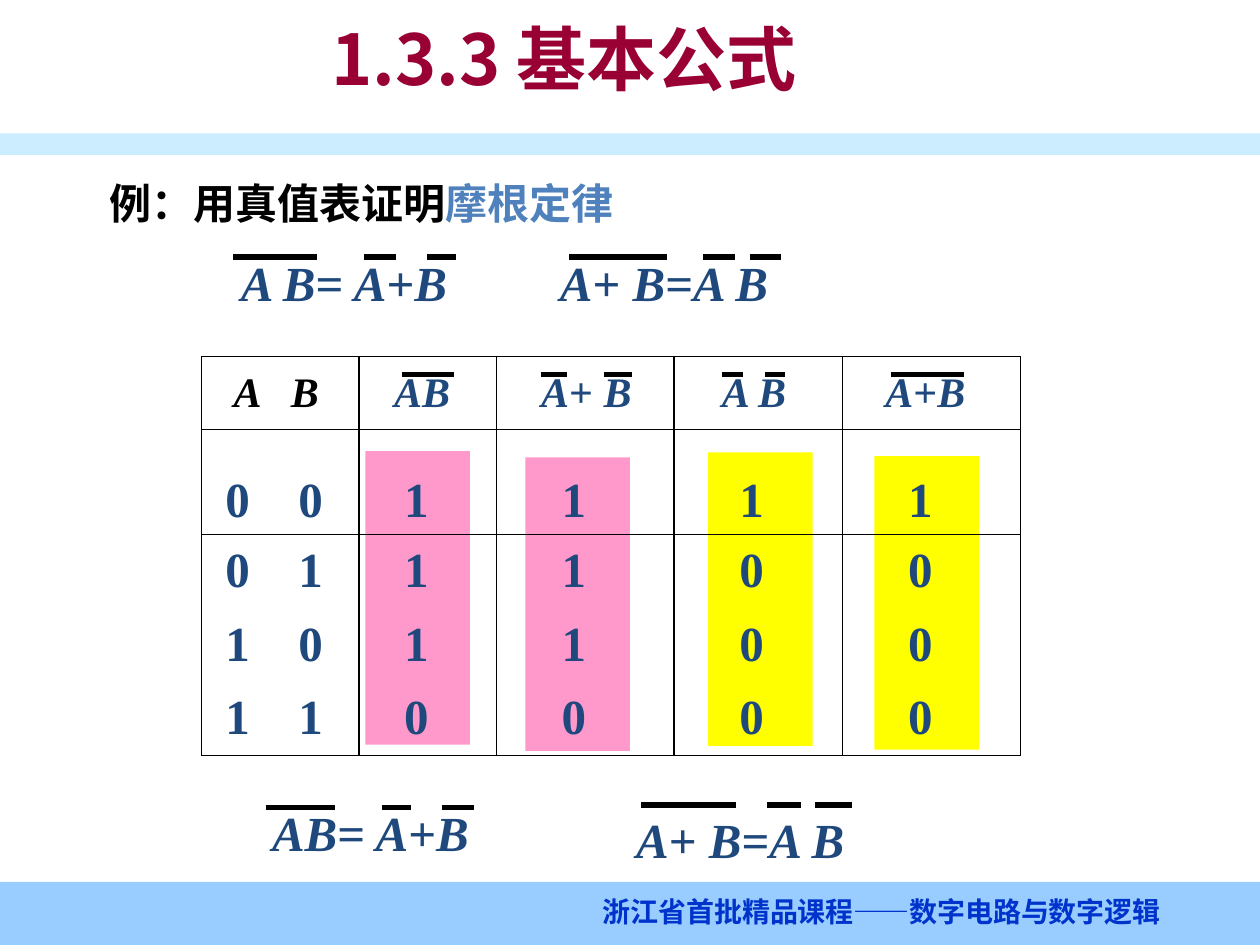
from itertools import groupby

from lxml import etree
from pptx import Presentation
from pptx.dml.color import RGBColor
from pptx.enum.shapes import MSO_CONNECTOR, MSO_SHAPE
from pptx.enum.text import MSO_ANCHOR, MSO_AUTO_SIZE, PP_ALIGN
from pptx.oxml.ns import qn
from pptx.util import Inches, Pt

LEFT, CENTER = PP_ALIGN.LEFT, PP_ALIGN.CENTER
MIDDLE, BOTTOM = MSO_ANCHOR.MIDDLE, MSO_ANCHOR.BOTTOM
NO_FIT = MSO_AUTO_SIZE.NONE
RECT, STRAIGHT = MSO_SHAPE.RECTANGLE, MSO_CONNECTOR.STRAIGHT

BLACK = RGBColor(0x00, 0x00, 0x00)
NAVY = RGBColor(0x1F, 0x49, 0x7D)
BLUE = RGBColor(0x4F, 0x81, 0xBD)
FOOTER_BLUE = RGBColor(0x00, 0x33, 0xCC)
CRIMSON = RGBColor(0x99, 0x00, 0x33)
FOOTER_BAND = RGBColor(0x99, 0xCC, 0xFF)
TITLE_BAND = RGBColor(0xCC, 0xEC, 0xFF)
PINK = RGBColor(0xFF, 0x99, 0xCC)
YELLOW = RGBColor(0xFF, 0xFF, 0x00)

CJK, SERIF = "Noto Sans CJK SC", "Times New Roman"
COLUMNS, ROWS = 100, 75
NO_STYLE_NO_GRID = "{2D5ABB26-0587-4C30-8999-92F81FD0307C}"

# Truth table, in grid units
EDGES = [16, 21.7, 28.5, 39.4, 53.5, 66.9, 81]
TABLE_TOP = 28.3
ROW_HEIGHTS = [5.8, 8.3, 5.85, 5.85, 5.85]
HEADINGS = ["A", "B", "AB", "A+ B", "A B", "A+B"]
HEADING_SHIFTS = [0.8, -0.9, -0.45, 0.1, -0.35, -0.5]
VALUE_SHIFTS = [0, -0.45, -0.9, -0.9, -0.55, -0.9]
VALUES = ["001111", "011100", "101100", "110000"]
HEADING_BARS = [(31.9, 36), (42.9, 45), (47.9, 50.2),
                (57.3, 59), (60.7, 62.3), (70.7, 76.5)]
HIGHLIGHTS = [(29, 35.8, PINK), (41.7, 36.3, PINK),
              (56.2, 35.9, YELLOW), (69.4, 36.2, YELLOW)]

# Text, centre, top, height of the overlines, spans of the overlines
FORMULAS = [
    ("A B= A+B", 27.3, 19.5, 20.4, [(18.5, 25.2), (28.9, 31.4), (33.9, 36.2)]),
    ("A+ B=A B", 52.7, 19.5, 20.4, [(45.2, 52.9), (55.8, 58.3), (59.5, 62)]),
    ("AB= A+B", 29.4, 63.2, 64.1, [(21.1, 26.6), (30.3, 32.6), (35.1, 37.6)]),
    ("A+ B=A B", 58.75, 63.7, 63.9, [(50.9, 58.4), (60.9, 63.6), (64.7, 67.6)]),
]


def formula_runs(text, size, color=NAVY):
    """Split a formula into italic letters and upright operators."""
    return [("".join(chars), dict(size=size, color=color, font=SERIF, italic=not operator))
            for operator, chars in groupby(text, lambda c: c in "+=")]


class SlideBuilder:
    """Places elements on a 100 by 75 grid over the slide."""

    def __init__(self, prs):
        self.col = prs.slide_width / COLUMNS
        self.row = prs.slide_height / ROWS
        self.s = prs.slides.add_slide(prs.slide_layouts[5])

    def x(self, columns):
        return round(columns * self.col)

    def y(self, rows):
        return round(rows * self.row)

    def box(self, x, y, w, h):
        return self.x(x), self.y(y), self.x(w), self.y(h)

    def add_runs(self, tf, runs, align):
        p = tf.paragraphs[0]
        p.alignment = align
        for text, style in runs:
            r = p.add_run()
            r.text = text
            font = {"name": style["font"], "size": Pt(style["size"]),
                    "bold": True, "italic": style.get("italic", False)}
            for name, value in font.items():
                setattr(r.font, name, value)
            r.font.color.rgb = style["color"]
            etree.SubElement(r.font._element, qn("a:ea"), typeface=CJK)
        return p

    def title(self, box, runs):
        sp = self.s.shapes.title
        for name, value in zip(("left", "top", "width", "height"), self.box(*box)):
            setattr(sp, name, value)
        tf = sp.text_frame
        tf.auto_size, tf.vertical_anchor = NO_FIT, MIDDLE
        self.add_runs(tf, runs, CENTER).space_before = Pt(25)

    def text(self, box, runs, align=CENTER, wrap=True):
        tf = self.s.shapes.add_textbox(*self.box(*box)).text_frame
        tf.word_wrap, tf.vertical_anchor = wrap, MIDDLE
        self.add_runs(tf, runs, align)

    def band(self, box, color):
        sp = self.s.shapes.add_shape(RECT, *self.box(*box))
        sp.shadow.inherit = False
        sp.fill.solid()
        sp.fill.fore_color.rgb = color
        sp.line.fill.background()

    def overlines(self, y, spans):
        for start, end in spans:
            line = self.s.shapes.add_connector(
                STRAIGHT, self.x(start), self.y(y), self.x(end), self.y(y))
            line.line.color.rgb = BLACK
            line.line.width = Pt(3)
            etree.SubElement(line._element.spPr, qn("a:effectLst"))

    def formula(self, text, center, top, bar_y, spans):
        width = 20
        self.text((center - width / 2, top, width, 5.7), formula_runs(text, 28), wrap=False)
        self.overlines(bar_y, spans)

    def cell(self, cell, runs, shift, anchor, sides):
        """Fill a cell, moving its text sideways by shift and ruling its sides."""
        margins = {"left": max(0, 2 * shift), "right": max(0, -2 * shift),
                   "top": 0.5, "bottom": 0.5}
        for side, value in margins.items():
            setattr(cell, f"margin_{side}", self.x(value))
        cell.vertical_anchor = anchor
        self.add_runs(cell.text_frame, runs, CENTER)
        tc_pr = cell._tc.get_or_add_tcPr()
        for side in sides:
            ln = etree.SubElement(tc_pr, qn(f"a:ln{side}"), w=str(Pt(0.75)))
            fill = etree.SubElement(ln, qn("a:solidFill"))
            etree.SubElement(fill, qn("a:srgbClr"), val=str(BLACK))
        cell.fill.background()

    def truth_table(self):
        count = len(HEADINGS)
        frame = self.s.shapes.add_table(
            len(ROW_HEIGHTS), count,
            *self.box(EDGES[0], TABLE_TOP, EDGES[-1] - EDGES[0], sum(ROW_HEIGHTS)))
        table = frame.table
        table.first_row = table.horz_banding = False
        table._tbl.tblPr.find(qn("a:tableStyleId")).text = NO_STYLE_NO_GRID
        for column, start, end in zip(table.columns, EDGES, EDGES[1:]):
            column.width = self.x(end - start)
        for row, height in zip(table.rows, ROW_HEIGHTS):
            row.height = self.y(height)

        last = len(VALUES)
        for i, texts in enumerate([HEADINGS, *VALUES]):
            for j, text in enumerate(texts):
                # The inputs A and B share one ruled column.
                ruled = {"L": j != 1, "R": j != 0, "T": i < 2, "B": i in (0, last)}
                sides = [side for side, shown in ruled.items() if shown]
                if i == 0:
                    runs = formula_runs(text, 24, BLACK if j < 2 else NAVY)
                    shift = HEADING_SHIFTS[j]
                else:
                    runs = [(text, dict(size=28, color=NAVY, font=SERIF))]
                    shift = VALUE_SHIFTS[j]
                anchor = BOTTOM if i == 1 else MIDDLE
                self.cell(table.cell(i, j), runs, shift, anchor, sides)
        self.overlines(29.7, HEADING_BARS)


def main():
    prs = Presentation()
    prs.slide_width, prs.slide_height = Inches(10), Inches(7.5)
    b = SlideBuilder(prs)

    b.band((0, 70, COLUMNS, 5), FOOTER_BAND)
    b.band((0, 10.6, COLUMNS, 1.7), TITLE_BAND)
    b.text((45, 70.5, 50, 3.7), [("浙江省首批精品课程——数字电路与数字逻辑",
                                  dict(size=16, color=FOOTER_BLUE, font=CJK))])
    b.title((22.6, -2.6, 44.3, 14.4),
            [("1.3.3 基本公式", dict(size=40, color=CRIMSON, font=CJK))])
    b.text((7.7, 13.6, 78.7, 5),
           [("例：用真值表证明", dict(size=24, color=BLACK, font=CJK)),
            ("摩根定律", dict(size=24, color=BLUE, font=SERIF))], align=LEFT)

    for x, y, color in HIGHLIGHTS:
        b.band((x, y, 8.3, 23.3), color)
    b.truth_table()
    for formula in FORMULAS:
        b.formula(*formula)

    prs.save("out.pptx")


if __name__ == "__main__":
    main()
